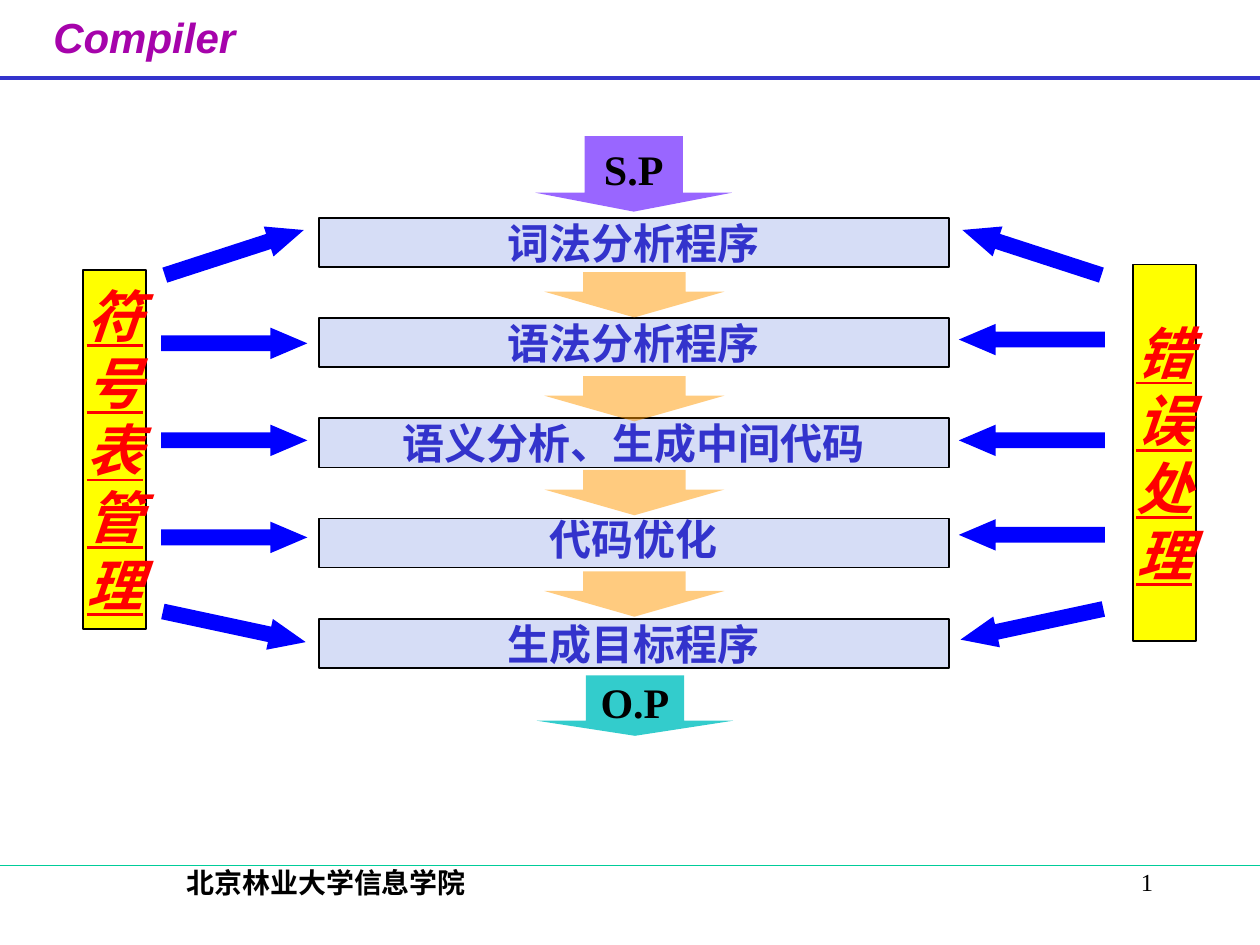
from lxml import etree
from pptx import Presentation
from pptx import util as u
from pptx.dml.color import RGBColor
from pptx.enum import shapes, text
from pptx.oxml import ns

BLACK = RGBColor(0x00, 0x00, 0x00)
PURPLE = RGBColor(0xA6, 0x03, 0xAB)
NAVY = RGBColor(0x33, 0x33, 0xCC)
GREEN = RGBColor(0x00, 0xCC, 0x99)
VIOLET = RGBColor(0x99, 0x66, 0xFF)
TEAL = RGBColor(0x33, 0xCC, 0xCC)
PALE = RGBColor(0xD6, 0xDD, 0xF6)
ORANGE = RGBColor(0xFF, 0x99, 0x00)
YELLOW = RGBColor(0xFF, 0xFF, 0x00)
RED = RGBColor(0xFF, 0x00, 0x00)
BLUE = RGBColor(0x00, 0x00, 0xFF)

W, H = 10, 7.5
CJK = "Noto Sans CJK SC"
SERIF = "Times New Roman"
KIND = shapes.MSO_SHAPE
CENTER = text.PP_ALIGN.CENTER

STAGES = ["词法分析程序", "语法分析程序", "语义分析、生成中间代码", "代码优化", "生成目标程序"]
STAGE_H = 0.39
FLOW_GAPS = [0.04, 0.07, 0.02, 0.03]
TILTS = [-18, 0, 0, 0, 12.1]


def inches(*values):
    return [u.Inches(v) for v in values]


def write(tf, lines, size, font, color, align=CENTER, bold=True, italic=False,
          underline=False, wrap=False, anchor=text.MSO_ANCHOR.MIDDLE):
    tf.word_wrap = wrap
    tf.auto_size = text.MSO_AUTO_SIZE.NONE
    tf.vertical_anchor = anchor
    for i, line in enumerate(lines):
        p = tf.paragraphs[0] if i == 0 else tf.add_paragraph()
        p.alignment = align
        r = p.add_run()
        r.text = line
        f = r.font
        f.size, f.name, f.color.rgb = u.Pt(size), font, color
        f.bold, f.italic, f.underline = bold, italic, underline
        ea = etree.SubElement(r._r.get_or_add_rPr(), ns.qn("a:ea"))
        ea.set("typeface", font if font == "Arial" else CJK)


def add_block(s, kind, box, fill, outlined=False, adj=(), alpha=None):
    sp = s.shapes.add_shape(kind, *inches(*box))
    sp.shadow.inherit = False
    sp.fill.solid()
    sp.fill.fore_color.rgb = fill
    if outlined:
        sp.line.color.rgb = BLACK
        sp.line.width = u.Pt(1)
    else:
        sp.line.fill.background()
    for i, value in enumerate(adj):
        sp.adjustments[i] = value
    if alpha:
        clr = sp._element.spPr.find(".//" + ns.qn("a:srgbClr"))
        etree.SubElement(clr, ns.qn("a:alpha")).set("val", str(alpha * 1000))
    return sp


def add_rule(s, y, color, width):
    c = s.shapes.add_connector(shapes.MSO_CONNECTOR.STRAIGHT, *inches(0, y, W, y))
    c.line.color.rgb = color
    c.line.width = u.Pt(width)
    etree.SubElement(c._element.spPr, ns.qn("a:effectLst"))


def add_header(s, box):
    title = s.shapes.title
    title.left, title.top, title.width, title.height = inches(*box)
    write(title.text_frame, ["Compiler"], 24, "Arial", PURPLE, italic=True,
          anchor=text.MSO_ANCHOR.TOP)
    add_rule(s, 0.62, NAVY, 2.25)


def add_footer(s, box):
    x, y, w, h = box
    add_rule(s, y, GREEN, 0.75)
    school = s.shapes.add_textbox(*inches(x + 0.052 * w, y - 0.05, 0.414 * w, h))
    write(school.text_frame, ["北京林业大学信息学院"], 16, SERIF, BLACK, wrap=True,
          anchor=text.MSO_ANCHOR.TOP)
    number = s.shapes.add_textbox(*inches(x + 0.717 * w, y - 0.04, 0.208 * w, h))
    write(number.text_frame, ["1"], 14, SERIF, BLACK, align=text.PP_ALIGN.RIGHT,
          bold=False, wrap=True, anchor=text.MSO_ANCHOR.TOP)


def add_end_arrow(s, label, box, fill):
    sp = add_block(s, KIND.DOWN_ARROW, box, fill, adj=(0.5, 0.25))
    write(sp.text_frame, [label], 24, SERIF, BLACK)


def add_pipeline(s, box):
    x, y, w, h = box
    pitch = (h - STAGE_H) / (len(STAGES) - 1)
    mid = x + w / 2
    add_end_arrow(s, "S.P", (mid - 0.78, y - 0.65, 1.56, 0.6), VIOLET)
    add_end_arrow(s, "O.P", (mid - 0.77, y + h + 0.06, 1.56, 0.48), TEAL)
    for i, stage in enumerate(STAGES):
        top = y + i * pitch
        sp = add_block(s, KIND.RECTANGLE, (x, top, w, STAGE_H), PALE, outlined=True)
        write(sp.text_frame, [stage], 24, CJK, NAVY)
        if stage == "代码优化":
            sp.text_frame.paragraphs[0].line_spacing = 0.8
    for i, gap in enumerate(FLOW_GAPS):
        top = y + i * pitch + STAGE_H + gap
        add_block(s, KIND.DOWN_ARROW, (mid - 0.71, top, 1.43, 0.36), ORANGE,
                  adj=(0.568, 0.567), alpha=50)


def add_side(s, label, box, arrow_x, arrow_tops, kind, turn):
    sp = add_block(s, KIND.RECTANGLE, box, YELLOW, outlined=True)
    write(sp.text_frame, list(label), 32, CJK, RED, italic=True, underline=True)
    for top, tilt in zip(arrow_tops, TILTS):
        arrow = add_block(s, kind, (arrow_x, top, 1.16, 0.25), BLUE, adj=(0.5, 1.174))
        arrow.rotation = turn * tilt


def main():
    prs = Presentation()
    prs.slide_width, prs.slide_height = inches(W, H)
    s = prs.slides.add_slide(prs.slide_layouts[5])
    add_header(s, (0.19, 0.04, 1.91, 0.62))
    add_footer(s, (0, 6.87, W, 0.5))
    add_pipeline(s, (2.53, 1.73, 5, 3.57))
    add_side(s, "错误处理", (8.99, 2.1, 0.5, 2.99), 7.61,
             [1.88, 2.57, 3.37, 4.12, 4.83], KIND.LEFT_ARROW, -1)
    add_side(s, "符号表管理", (0.66, 2.14, 0.5, 2.85), 1.28,
             [1.88, 2.6, 3.37, 4.14, 4.85], KIND.RIGHT_ARROW, 1)
    prs.save("out.pptx")


if __name__ == "__main__":
    main()
